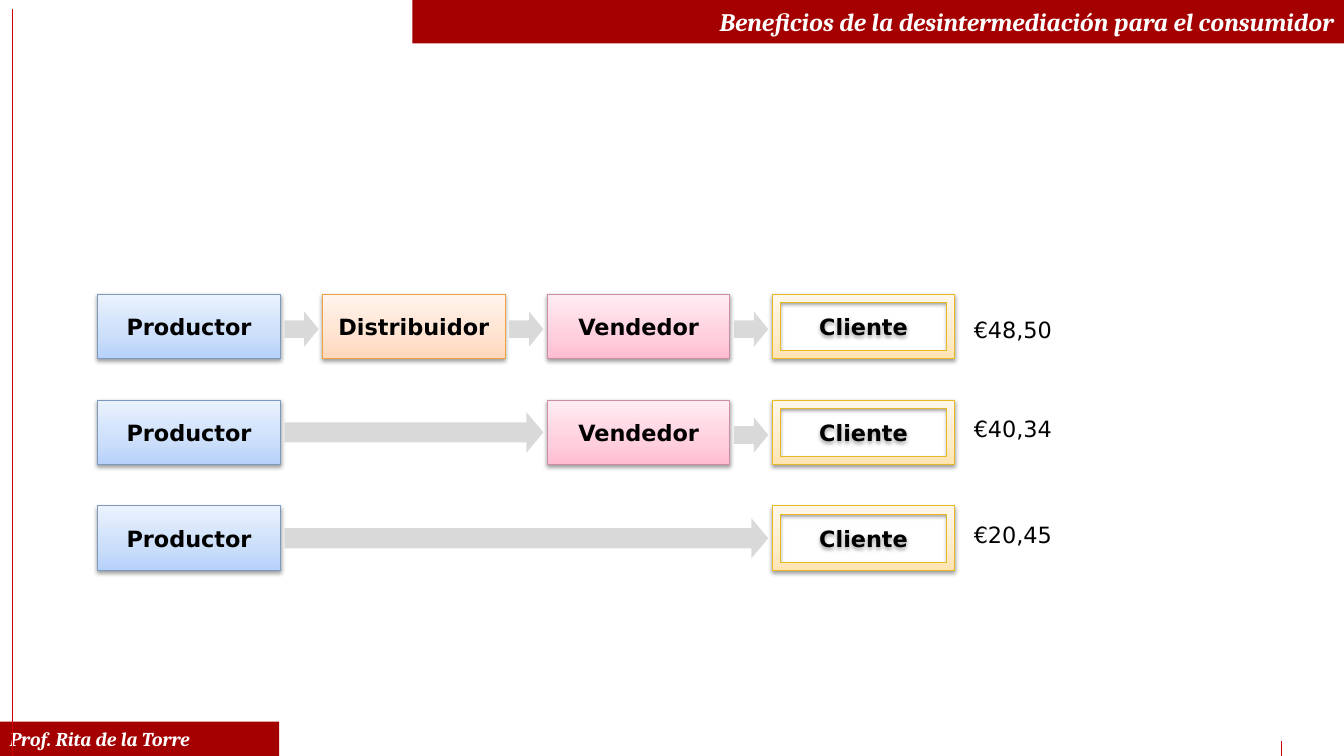
from copy import deepcopy
from dataclasses import dataclass

from lxml import etree
from pptx import Presentation
from pptx.dml.color import RGBColor
from pptx.enum.shapes import MSO_CONNECTOR, MSO_SHAPE
from pptx.enum.text import MSO_ANCHOR, PP_ALIGN
from pptx.oxml import parse_xml
from pptx.oxml.ns import nsdecls, qn
from pptx.util import Inches, Pt

RECTANGLE, FRAME, ARROW = MSO_SHAPE.RECTANGLE, MSO_SHAPE.FRAME, MSO_SHAPE.RIGHT_ARROW
STRAIGHT = MSO_CONNECTOR.STRAIGHT
MIDDLE = MSO_ANCHOR.MIDDLE
LEFT, CENTER, RIGHT = PP_ALIGN.LEFT, PP_ALIGN.CENTER, PP_ALIGN.RIGHT


@dataclass(frozen=True)
class Theme:
    """Colours and text formats of the slide."""

    band: str = "A40000"
    rule: str = "CC0000"
    arrow: str = "D9D9D9"
    black: str = "000000"
    white: str = "FFFFFF"
    heading_font: str = "Cambria"
    body_font: str = "DejaVu Sans"
    title_size: int = 18
    footer_size: int = 14
    body_size: int = 16


THEME = Theme()

ROLES = {
    "Productor": (0, RECTANGLE, ("B6D1FA", "CBDEFA", "EAF2FE"), "7C9ABF"),
    "Distribuidor": (1, RECTANGLE, ("FFD7BB", "FFE2CF", "FFF4ED"), "F2A141"),
    "Vendedor": (2, RECTANGLE, ("FFBCD0", "FFCFDD", "FFECF2"), "CD8DA3"),
    "Cliente": (3, FRAME, ("FFE4B2", "FFECC9", "FFF7EA"), "E7BA23"),
}
CHAINS = [
    ["Productor", "Distribuidor", "Vendedor", "Cliente"],
    ["Productor", "Vendedor", "Cliente"],
    ["Productor", "Cliente"],
]
PRICES = [("€48,50", 0), ("€40,34", 42), ("€20,45", 47)]
GRADIENT_POSITIONS = (0, 0.35, 1)

GRID_LEFT, GRID_TOP = 0.97, 2.92
COLUMN_STEP, ROW_STEP = 2.23, 1.05
BOX_WIDTH, BOX_HEIGHT = 1.81, 0.64
ARROW_GAP = 0.04


def write(paragraph, text, alignment, size, family, color, **styles):
    """Put formatted text in a paragraph."""
    paragraph.text = text
    paragraph.alignment = alignment
    formats = {"name": family, "size": Pt(size), **styles}
    for name, value in formats.items():
        setattr(paragraph.font, name, value)
    paragraph.font.color.rgb = RGBColor.from_string(color)


def add_flat_shape(slide, kind, position, color):
    """Add a shape with a solid fill and neither line nor shadow."""
    shape = slide.shapes.add_shape(kind, *map(Inches, position))
    shape.shadow.inherit = False
    shape.fill.solid()
    shape.fill.fore_color.rgb = RGBColor.from_string(color)
    shape.line.fill.background()
    return shape


def add_band(slide, position, text, alignment, size):
    """Add a red band with a heading in it."""
    band = add_flat_shape(slide, RECTANGLE, position, THEME.band)
    band.text_frame.vertical_anchor = MIDDLE
    write(band.text_frame.paragraphs[0], text, alignment, size,
          THEME.heading_font, THEME.white, bold=True, italic=True)


def add_rule(slide, x, top, bottom, width):
    """Add a thin vertical line."""
    rule = slide.shapes.add_connector(
        STRAIGHT, Inches(x), Inches(top), Inches(x), Inches(bottom))
    rule.line.color.rgb = RGBColor.from_string(THEME.rule)
    rule.line.width = Pt(width)
    etree.SubElement(rule._element.spPr, qn("a:effectLst"))


def fill_gradient(shape, colors):
    """Fill a shape with three colours running upwards."""
    shape.fill.gradient()
    shape.fill.gradient_angle = 90
    stops = shape._element.spPr.find(".//" + qn("a:gsLst"))
    stops.insert(1, deepcopy(stops[0]))
    for stop, color, position in zip(shape.fill.gradient_stops, colors, GRADIENT_POSITIONS):
        stop.color.rgb = RGBColor.from_string(color)
        stop.position = position


def add_shadow(shape):
    """Give a shape a soft shadow below it."""
    shape.shadow.inherit = False
    shape._element.spPr.find(qn("a:effectLst")).append(parse_xml(
        f'<a:outerShdw {nsdecls("a")} blurRad="{Pt(3.1)}" dist="{Pt(1.6)}" '
        f'dir="5400000" rotWithShape="0"><a:srgbClr val="{THEME.black}">'
        '<a:alpha val="38000"/></a:srgbClr></a:outerShdw>'))


def column_left(column):
    """Return the left edge of a column of boxes."""
    return GRID_LEFT + column * COLUMN_STEP


def add_role(slide, role, top):
    """Add the box of one role of the supply chain."""
    column, kind, colors, outline = ROLES[role]
    position = (column_left(column), top, BOX_WIDTH, BOX_HEIGHT)
    box = slide.shapes.add_shape(kind, *map(Inches, position))
    fill_gradient(box, colors)
    box.line.color.rgb = RGBColor.from_string(outline)
    box.line.width = Pt(0.75)
    add_shadow(box)
    box.text_frame.word_wrap = False
    box.text_frame.vertical_anchor = MIDDLE
    write(box.text_frame.paragraphs[0], role, CENTER, THEME.body_size,
          THEME.body_font, THEME.black, bold=True)


def add_arrow(slide, source, target, top):
    """Add the arrow between two roles in a row."""
    first, last = ROLES[source][0], ROLES[target][0]
    left = column_left(first) + BOX_WIDTH + ARROW_GAP
    width = column_left(last) - ARROW_GAP - left
    offset, height = (0.17, 0.35) if last - first == 1 else (0.12, 0.4)
    arrow = add_flat_shape(slide, ARROW, (left, top + offset, width, height), THEME.arrow)
    arrow.adjustments[0] = 0.5
    arrow.adjustments[1] = 0.42


def add_prices(slide):
    """Add the final price of each chain in one column of text."""
    box = slide.shapes.add_textbox(Inches(9.56), Inches(2.95), Inches(0.99), Inches(2.49))
    frame = box.text_frame
    frame.word_wrap = False
    for index, (price, space) in enumerate(PRICES):
        paragraph = frame.add_paragraph() if index else frame.paragraphs[0]
        write(paragraph, price, LEFT, THEME.body_size, THEME.body_font, THEME.black)
        paragraph.line_spacing = 1.5
        paragraph.space_before = Pt(space)


def main():
    """Build the slide and save it."""
    presentation = Presentation()
    presentation.slide_width, presentation.slide_height = Inches(13.33), Inches(7.5)
    slide = presentation.slides.add_slide(presentation.slide_layouts[6])
    add_band(slide, (0, 7.16, 2.77, 0.34), "Prof. Rita de la Torre", LEFT, THEME.footer_size)
    add_rule(slide, 12.71, 7.35, 7.5, 0.75)
    add_rule(slide, 0.12, 0.09, 7.5, 0.5)
    add_band(slide, (4.09, 0, 9.24, 0.43),
             "Beneficios de la desintermediación para el consumidor", RIGHT, THEME.title_size)
    add_prices(slide)
    for row, chain in enumerate(CHAINS):
        top = GRID_TOP + row * ROW_STEP
        for role in chain:
            add_role(slide, role, top)
        for source, target in zip(chain, chain[1:]):
            add_arrow(slide, source, target, top)
    presentation.save("out.pptx")


if __name__ == "__main__":
    main()
